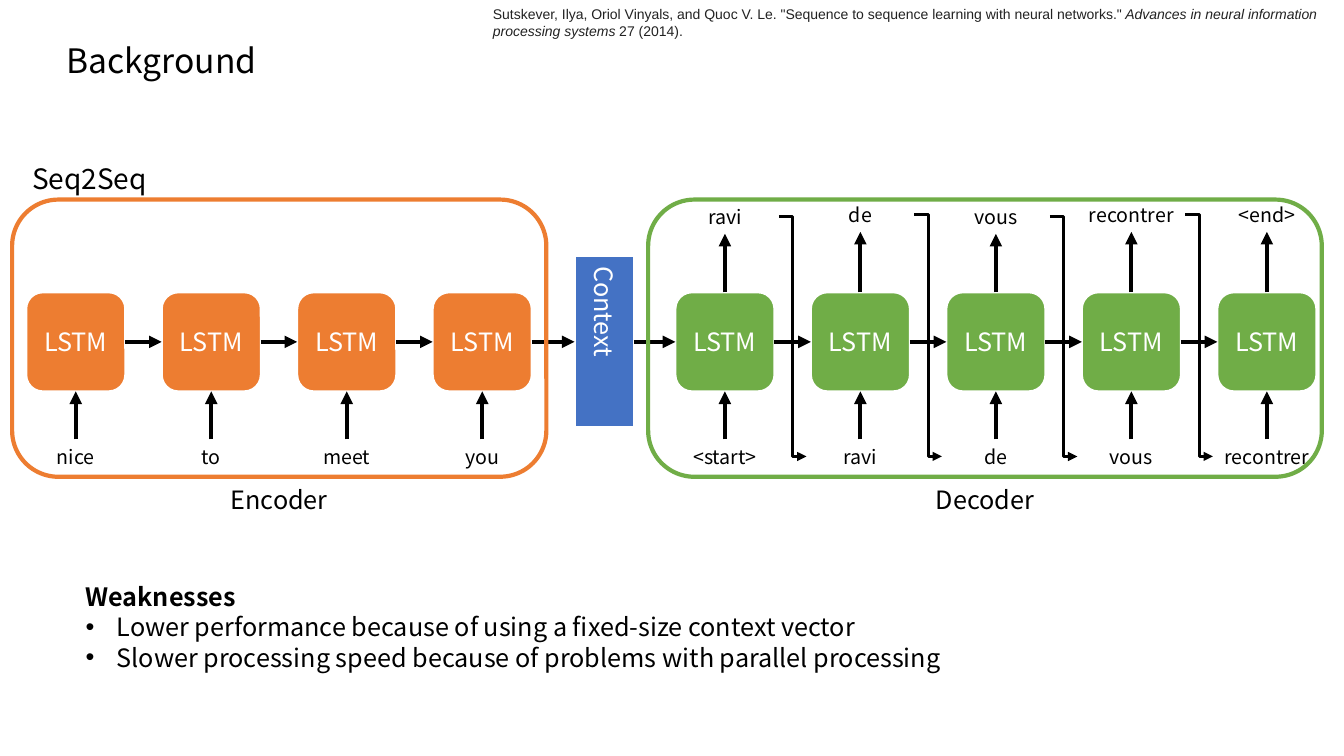
from lxml import etree
from pptx import Presentation
from pptx.dml.color import RGBColor
from pptx.enum.shapes import MSO_CONNECTOR, MSO_SHAPE
from pptx.enum.text import MSO_ANCHOR, MSO_AUTO_SIZE, PP_ALIGN
from pptx.oxml.ns import qn
from pptx.util import Inches, Pt

RECT, ROUNDED = MSO_SHAPE.RECTANGLE, MSO_SHAPE.ROUNDED_RECTANGLE
STRAIGHT, ELBOW = MSO_CONNECTOR.STRAIGHT, MSO_CONNECTOR.ELBOW
LEFT, CENTER = PP_ALIGN.LEFT, PP_ALIGN.CENTER
TOP, MIDDLE = MSO_ANCHOR.TOP, MSO_ANCHOR.MIDDLE
GROW = MSO_AUTO_SIZE.SHAPE_TO_FIT_TEXT

COLORS = {"black": "000000", "white": "FFFFFF", "citation": "222222",
          "encoder": "ED7D31", "decoder": "70AD47", "context": "4472C4"}
COLUMNS, ROWS = 160, 90

# Columns and rows shared by the two LSTM chains
PITCH, CELL = 16.13, 11.8
CELL_TOP = 34.8
FLOW_ROW = CELL_TOP + CELL / 2
WORD_WIDTH, WORD_HEIGHT = 12.84, 4.08
INPUT_TOP = 52.3
FRAME_TOP, FRAME_HEIGHT = 23.76, 33
CONTEXT_LEFT, CONTEXT_WIDTH = 68.4, 7.05
ENCODER_LEFT, DECODER_LEFT = 3.12, 80.4

ENCODER_INPUTS = ["nice", "to", "meet", "you"]
DECODER_INPUTS = ["<start>", "ravi", "de", "vous", "recontrer"]
DECODER_OUTPUTS = [("ravi", 23.76), ("de", 23.52), ("vous", 23.76),
                   ("recontrer", 23.52), ("<end>", 23.52)]


def write(shape, *paragraphs, size=18, color="black", font="Noto Sans CJK KR",
          align=LEFT, anchor=MIDDLE, bold_first=False, bulleted_from=None):
    """Each paragraph is a string or a list of (words, italic) spans."""
    frame = shape.text_frame
    frame.word_wrap = True
    frame.vertical_anchor = anchor
    for index, content in enumerate(paragraphs):
        para = frame.add_paragraph() if index else frame.paragraphs[0]
        para.alignment = align
        spans = [(content, False)] if isinstance(content, str) else content
        for words, italic in spans:
            span = para.add_run()
            span.text = words
            span.font.name, span.font.size = font, Pt(size)
            span.font.bold = bold_first and index == 0
            span.font.italic = italic
            span.font.color.rgb = RGBColor.from_string(COLORS[color])
        if bulleted_from is not None and index >= bulleted_from:
            add_bullet(para)


def add_bullet(para):
    properties = para._p.get_or_add_pPr()
    indent = Inches(0.31)
    properties.set("marL", str(indent))
    properties.set("indent", str(-indent))
    etree.SubElement(properties, qn("a:buFont")).set("typeface", "Arial")
    etree.SubElement(properties, qn("a:buChar")).set("char", "•")


class Page:
    """A slide measured in columns and rows."""

    def __init__(self, deck):
        self.shapes = deck.slides.add_slide(deck.slide_layouts[6]).shapes
        self.column = deck.slide_width / COLUMNS
        self.row = deck.slide_height / ROWS

    def place(self, x, y):
        return round(x * self.column), round(y * self.row)

    def label(self, x, y, width, height, *paragraphs, **style):
        box = self.shapes.add_textbox(*self.place(x, y), *self.place(width, height))
        write(box, *paragraphs, **style)
        box.text_frame.auto_size = GROW

    def block(self, kind, x, y, width, height, fill=None, line="white", weight=1.5):
        shape = self.shapes.add_shape(kind, *self.place(x, y), *self.place(width, height))
        shape.shadow.inherit = False
        if fill:
            shape.fill.solid()
            shape.fill.fore_color.rgb = RGBColor.from_string(COLORS[fill])
        else:
            shape.fill.background()
        shape.line.color.rgb = RGBColor.from_string(COLORS[line])
        shape.line.width = Pt(weight)
        return shape

    def arrow(self, x1, y1, x2, y2, kind=STRAIGHT, weight=3):
        link = self.shapes.add_connector(kind, *self.place(x1, y1), *self.place(x2, y2))
        link.line.color.rgb = RGBColor.from_string(COLORS["black"])
        link.line.width = Pt(weight)
        etree.SubElement(link.line._get_or_add_ln(), qn("a:tailEnd")).set("type", "triangle")
        etree.SubElement(link._element.spPr, qn("a:effectLst"))

    def word(self, center, top, text):
        self.label(center - WORD_WIDTH / 2, top, WORD_WIDTH, WORD_HEIGHT, text,
                   size=14, align=CENTER)

    def chain(self, left, inputs, color):
        """Draws linked LSTM cells with their inputs and returns the cell centers."""
        centers = [left + CELL / 2 + PITCH * i for i in range(len(inputs))]
        for center, text in zip(centers, inputs):
            cell = self.block(ROUNDED, center - CELL / 2, CELL_TOP, CELL, CELL, color)
            write(cell, "LSTM", color="white", align=CENTER)
            self.arrow(center, INPUT_TOP, center, CELL_TOP + CELL)
            self.word(center, INPUT_TOP, text)
        for start, end in zip(centers, centers[1:]):
            self.arrow(start + CELL / 2, FLOW_ROW, end - CELL / 2, FLOW_ROW)
        return centers

    def frame(self, left, width, color, caption, caption_top, caption_width):
        self.block(ROUNDED, left, FRAME_TOP, width, FRAME_HEIGHT, line=color, weight=3)
        self.label(left + (width - caption_width) / 2, caption_top, caption_width, 4.8,
                   caption, align=CENTER)


def main():
    deck = Presentation()
    deck.slide_width, deck.slide_height = Inches(13.33), Inches(7.5)
    page = Page(deck)

    page.label(6.72, 4.2, 47, 6, "Background", size=24)
    page.label(2.64, 18.6, 23.4, 5.3, "Seq2Seq", size=20, anchor=TOP)

    encoder = page.chain(ENCODER_LEFT, ENCODER_INPUTS, "encoder")
    decoder = page.chain(DECODER_LEFT, DECODER_INPUTS, "decoder")

    context = page.block(RECT, CONTEXT_LEFT, 30.5, CONTEXT_WIDTH, 20.4, "context")
    write(context, "Context", color="white", align=CENTER)
    context.text_frame._txBody.bodyPr.set("vert", "eaVert")
    page.arrow(encoder[-1] + CELL / 2, FLOW_ROW, CONTEXT_LEFT, FLOW_ROW)
    page.arrow(CONTEXT_LEFT + CONTEXT_WIDTH, FLOW_ROW, DECODER_LEFT, FLOW_ROW)

    for center, (text, top) in zip(decoder, DECODER_OUTPUTS):
        page.arrow(center, CELL_TOP, center, top + WORD_HEIGHT)
        page.word(center, top, text)

    page.frame(1.44, 63.6, "encoder", "Encoder", 57.1, 25.6)
    page.frame(77.16, 80.2, "decoder", "Decoder", 57.1, 32.3)

    # Each output word feeds the next decoder input
    for center, following, (_, top) in zip(decoder, decoder[1:], DECODER_OUTPUTS):
        page.arrow(center + WORD_WIDTH / 2, top + WORD_HEIGHT / 2,
                   following - WORD_WIDTH / 2, INPUT_TOP + WORD_HEIGHT / 2,
                   kind=ELBOW, weight=2.25)

    page.label(57.5, 0, 102.4, 5.3, [
        ("Sutskever, Ilya, Oriol Vinyals, and Quoc V. Le. "
         "\"Sequence to sequence learning with neural networks.\" ", False),
        ("Advances in neural information processing systems", True),
        (" 27 (2014).", False)], size=10, color="citation", font="Arial")
    page.label(9, 68.64, 141.8, 12.1, "Weaknesses",
               "Lower performance because of using a fixed-size context vector",
               "Slower processing speed because of problems with parallel processing",
               anchor=TOP, bold_first=True, bulleted_from=1)

    deck.save("out.pptx")


if __name__ == "__main__":
    main()
